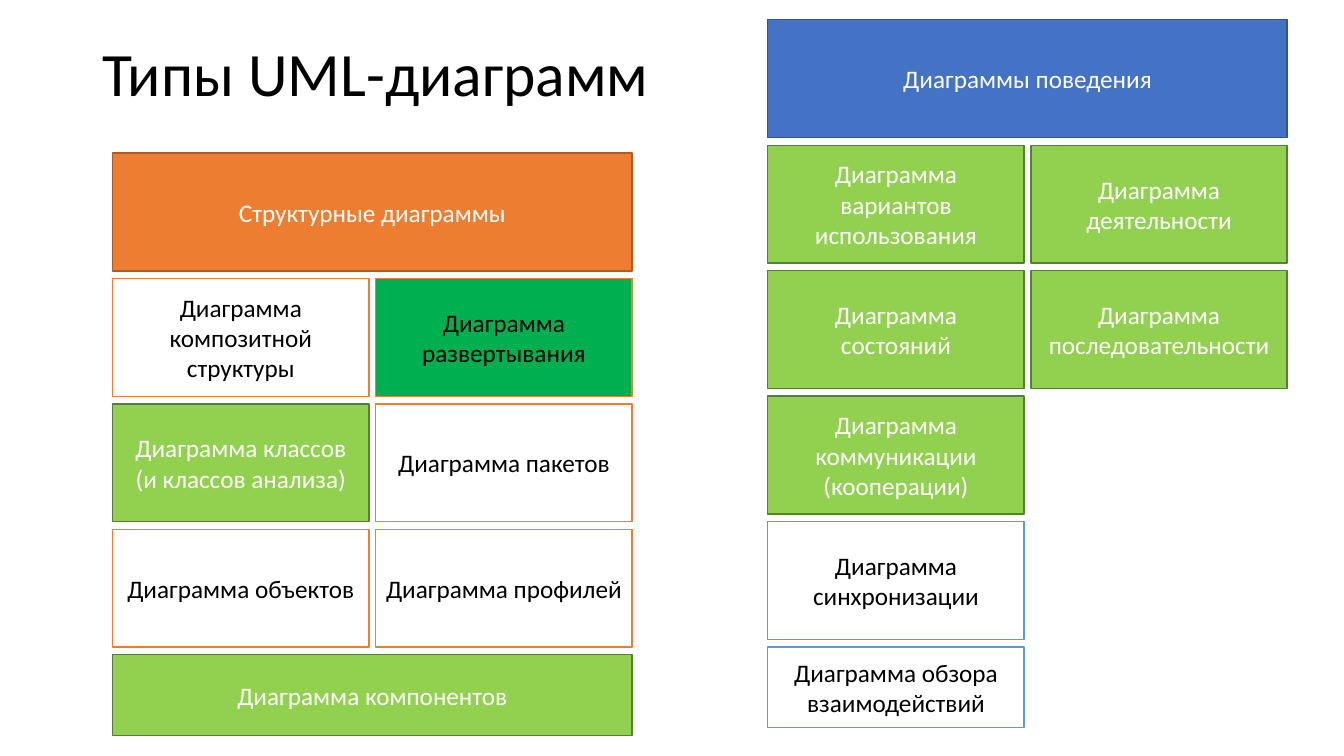
from pptx import Presentation
from pptx import util as u
from pptx.dml.color import RGBColor
from pptx.enum import shapes, text

WHITE, BLACK = "FFFFFF", "000000"
COLUMN_WIDTH, ROW_HEIGHT, LAST_ROW_HEIGHT = 6.46, 2.97, 2.03
COLUMN_STEP, ROW_STEP = 6.63, 3.16

# Each style: fill, line, text colour
STRUCTURE_HEAD = ("ED7D31", "AF5C24", WHITE)
STRUCTURE = (WHITE, "ED7D31", BLACK)
DEPLOYMENT = ("00B050", "ED7D31", BLACK)
BEHAVIOUR_HEAD = ("4472C4", "325491", WHITE)
BEHAVIOUR = (WHITE, "5B9BD5", BLACK)
STUDIED = ("92D050", "538035", WHITE)

# Each cell: row, column, columns spanned, style, wording
STRUCTURE_CELLS = [
    (0, 0, 2, STRUCTURE_HEAD, "Структурные диаграммы"),
    (1, 0, 1, STRUCTURE, "Диаграмма композитной структуры"),
    (1, 1, 1, DEPLOYMENT, "Диаграмма развертывания"),
    (2, 0, 1, STUDIED, "Диаграмма классов (и классов анализа)"),
    (2, 1, 1, STRUCTURE, "Диаграмма пакетов"),
    (3, 0, 1, STRUCTURE, "Диаграмма объектов"),
    (3, 1, 1, STRUCTURE, "Диаграмма профилей"),
    (4, 0, 2, STUDIED, "Диаграмма компонентов"),
]
BEHAVIOUR_CELLS = [
    (0, 0, 2, BEHAVIOUR_HEAD, "Диаграммы поведения"),
    (1, 0, 1, STUDIED, "Диаграмма вариантов использования"),
    (1, 1, 1, STUDIED, "Диаграмма деятельности"),
    (2, 0, 1, STUDIED, "Диаграмма состояний"),
    (2, 1, 1, STUDIED, "Диаграмма последовательности"),
    (3, 0, 1, STUDIED, "Диаграмма коммуникации (кооперации)"),
    (4, 0, 1, BEHAVIOUR, "Диаграмма синхронизации"),
    (5, 0, 1, BEHAVIOUR, "Диаграмма обзора взаимодействий"),
]


def rgb(hex_colour):
    return RGBColor.from_string(hex_colour)


def write(frame, wording, size=18, colour=BLACK, font="Calibri",
          align=text.PP_ALIGN.CENTER, spacing=1.0):
    frame.word_wrap = True
    frame.vertical_anchor = text.MSO_ANCHOR.MIDDLE
    paragraph = frame.paragraphs[0]
    paragraph.text = wording
    paragraph.alignment = align
    paragraph.line_spacing = spacing
    paragraph.font.name = font
    paragraph.font.size = u.Pt(size)
    paragraph.font.color.rgb = rgb(colour)


class DiagramSlide:
    def __init__(self, deck):
        self.shapes = deck.slides.add_slide(deck.slide_layouts[6]).shapes
        self.line_width = u.Pt(1)
        self.side_inset = u.Cm(0.25)

    def title(self, wording, left, top, width, height):
        box = self.shapes.add_textbox(*map(u.Cm, (left, top, width, height)))
        write(box.text_frame, wording, size=44, align=text.PP_ALIGN.LEFT, spacing=0.9)

    def block(self, wording, left, top, width, height, style):
        fill, line, colour = style
        box = self.shapes.add_shape(shapes.MSO_SHAPE.RECTANGLE,
                                    *map(u.Cm, (left, top, width, height)))
        box.shadow.inherit = False
        box.fill.solid()
        box.fill.fore_color.rgb = rgb(fill)
        box.line.color.rgb = rgb(line)
        box.line.width = self.line_width
        frame = box.text_frame
        frame.margin_left = frame.margin_right = self.side_inset
        write(frame, wording, colour=colour)

    def family(self, left, top, cells):
        """Lay out one family of diagrams as a grid whose last row is lower."""
        last_row = max(cell[0] for cell in cells)
        for row, column, span, style, wording in cells:
            height = LAST_ROW_HEIGHT if row == last_row else ROW_HEIGHT
            self.block(wording, left + column * COLUMN_STEP, top + row * ROW_STEP,
                       COLUMN_WIDTH + (span - 1) * COLUMN_STEP, height, style)


def main():
    deck = Presentation()
    deck.slide_width, deck.slide_height = u.Cm(33.87), u.Cm(19.05)
    slide = DiagramSlide(deck)
    slide.title("Типы UML-диаграмм", 2.33, 0.08, 29.21, 3.68)
    slide.family(2.84, 3.86, STRUCTURE_CELLS)
    slide.family(19.35, 0.5, BEHAVIOUR_CELLS)
    deck.save("out.pptx")


if __name__ == "__main__":
    main()
